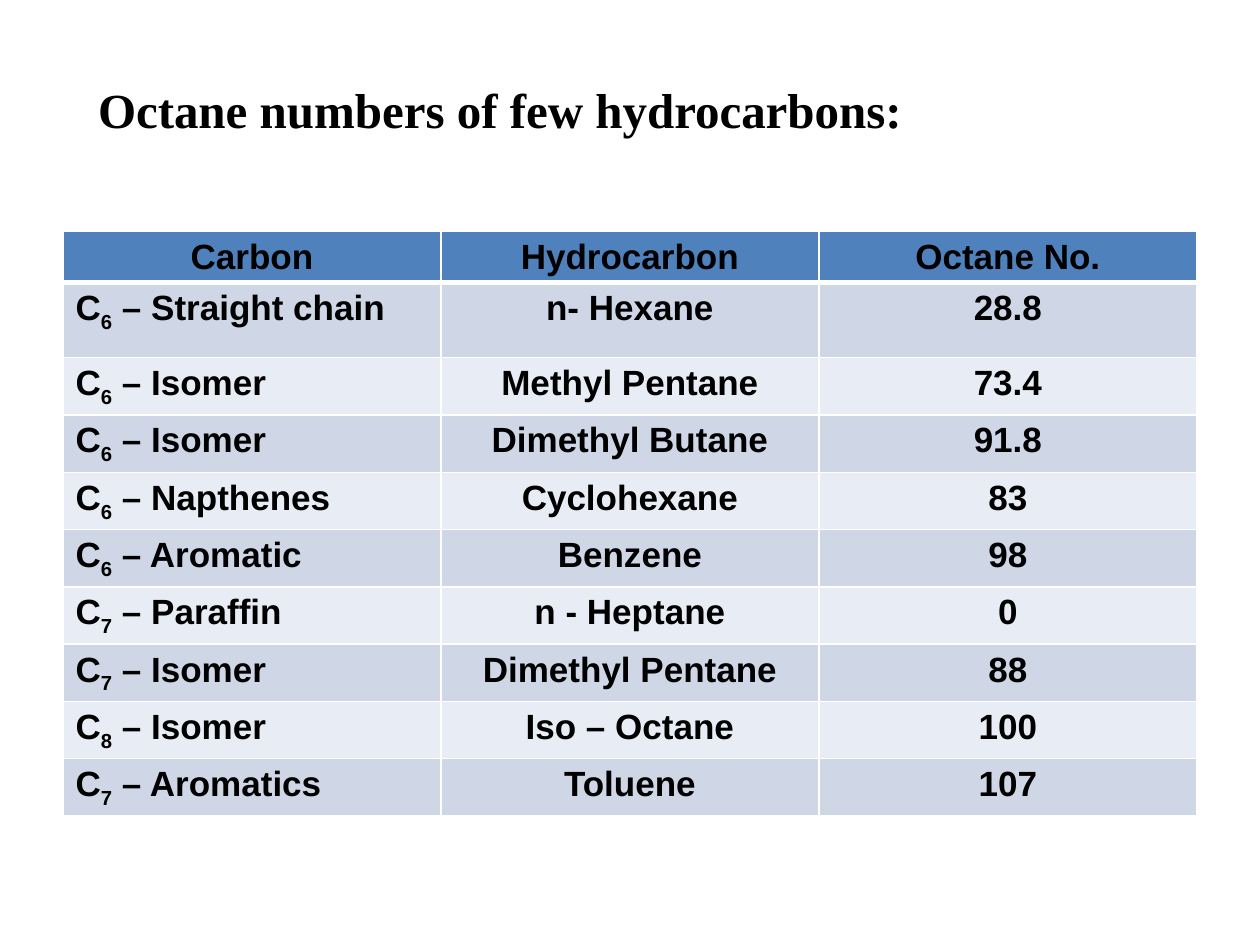
import pptx
import pptx.dml.color
import pptx.enum.text
import pptx.oxml.ns
import pptx.util
from lxml import etree

RGB = pptx.dml.color.RGBColor
ALIGN = pptx.enum.text.PP_ALIGN
BLACK = RGB(0x00, 0x00, 0x00)
WHITE = RGB(0xFF, 0xFF, 0xFF)
BLUE = RGB(0x4F, 0x81, 0xBD)
BANDS = (RGB(0xCF, 0xD7, 0xE7), RGB(0xE8, 0xEC, 0xF4))
PX = 914400 // 126

HEADERS = ("Carbon", "Hydrocarbon", "Octane No.")
FUELS = (
    ("6", "Straight chain", "n- Hexane", "28.8"),
    ("6", "Isomer", "Methyl Pentane", "73.4"),
    ("6", "Isomer", "Dimethyl Butane", "91.8"),
    ("6", "Napthenes", "Cyclohexane", "83"),
    ("6", "Aromatic", "Benzene", "98"),
    ("7", "Paraffin", "n - Heptane", "0"),
    ("7", "Isomer", "Dimethyl Pentane", "88"),
    ("8", "Isomer", "Iso – Octane", "100"),
    ("7", "Aromatics", "Toluene", "107"),
)


def px(n):
    return pptx.util.Emu(n * PX)


def add_run(p, text, size, font, subscript=False):
    r = p.add_run()
    r.text = text
    r.font.size = pptx.util.Pt(size)
    r.font.name = font
    r.font.bold = True
    r.font.color.rgb = BLACK
    if subscript:
        r._r.get_or_add_rPr().set("baseline", "-25000")


def set_title(s, text):
    sp = s.shapes.title
    sp.left, sp.top, sp.width, sp.height = px(73), px(73), px(1092), px(72)
    tf = sp.text_frame
    tf.word_wrap = True
    tf.auto_size = pptx.enum.text.MSO_AUTO_SIZE.NONE
    tf.vertical_anchor = pptx.enum.text.MSO_ANCHOR.TOP
    tf.margin_left = px(25)
    p = tf.paragraphs[0]
    p.alignment = ALIGN.LEFT
    add_run(p, text, 28, "Times New Roman")


def set_borders(cell, bottom):
    tcPr = cell._tc.get_or_add_tcPr()
    qn = pptx.oxml.ns.qn
    for side, width in (("L", 1), ("R", 1), ("T", 1), ("B", bottom)):
        ln = etree.SubElement(tcPr, qn(f"a:ln{side}"), w=str(pptx.util.Pt(width)))
        fill = etree.SubElement(ln, qn("a:solidFill"))
        etree.SubElement(fill, qn("a:srgbClr"), val=str(WHITE))


def fill_cell(cell, parts, color, align, bottom=1):
    set_borders(cell, bottom)
    cell.fill.solid()
    cell.fill.fore_color.rgb = color
    p = cell.text_frame.paragraphs[0]
    p.alignment = align
    for i, text in enumerate(parts):
        add_run(p, text, 20, "Arial", subscript=i == 1)


def add_octane_table(s):
    heights = [51, 75] + [57] * (len(FUELS) - 1)
    frame = s.shapes.add_table(len(heights), len(HEADERS), px(63), px(231),
                               px(378 * len(HEADERS)), px(sum(heights)))
    table = frame.table
    for column in table.columns:
        column.width = px(378)
    for row, height in zip(table.rows, heights):
        row.height = px(height)
    for c, header in enumerate(HEADERS):
        fill_cell(table.cell(0, c), [header], BLUE, ALIGN.CENTER, bottom=3)
    for i, (carbons, family, hydrocarbon, octane) in enumerate(FUELS):
        band = BANDS[i % 2]
        top = 3 if i == 0 else 1
        cells = table.rows[i + 1].cells
        fill_cell(cells[0], ["C", carbons, f" – {family}"], band, ALIGN.LEFT)
        fill_cell(cells[1], [hydrocarbon], band, ALIGN.CENTER)
        fill_cell(cells[2], [octane], band, ALIGN.CENTER)
        for cell in cells:
            line = cell._tc.tcPr.find(pptx.oxml.ns.qn("a:lnT"))
            line.set("w", str(pptx.util.Pt(top)))


def main():
    prs = pptx.Presentation()
    prs.slide_width, prs.slide_height = px(1260), px(945)
    s = prs.slides.add_slide(prs.slide_layouts[5])
    set_title(s, "Octane numbers of few hydrocarbons:")
    add_octane_table(s)
    prs.save("out.pptx")


if __name__ == "__main__":
    main()
